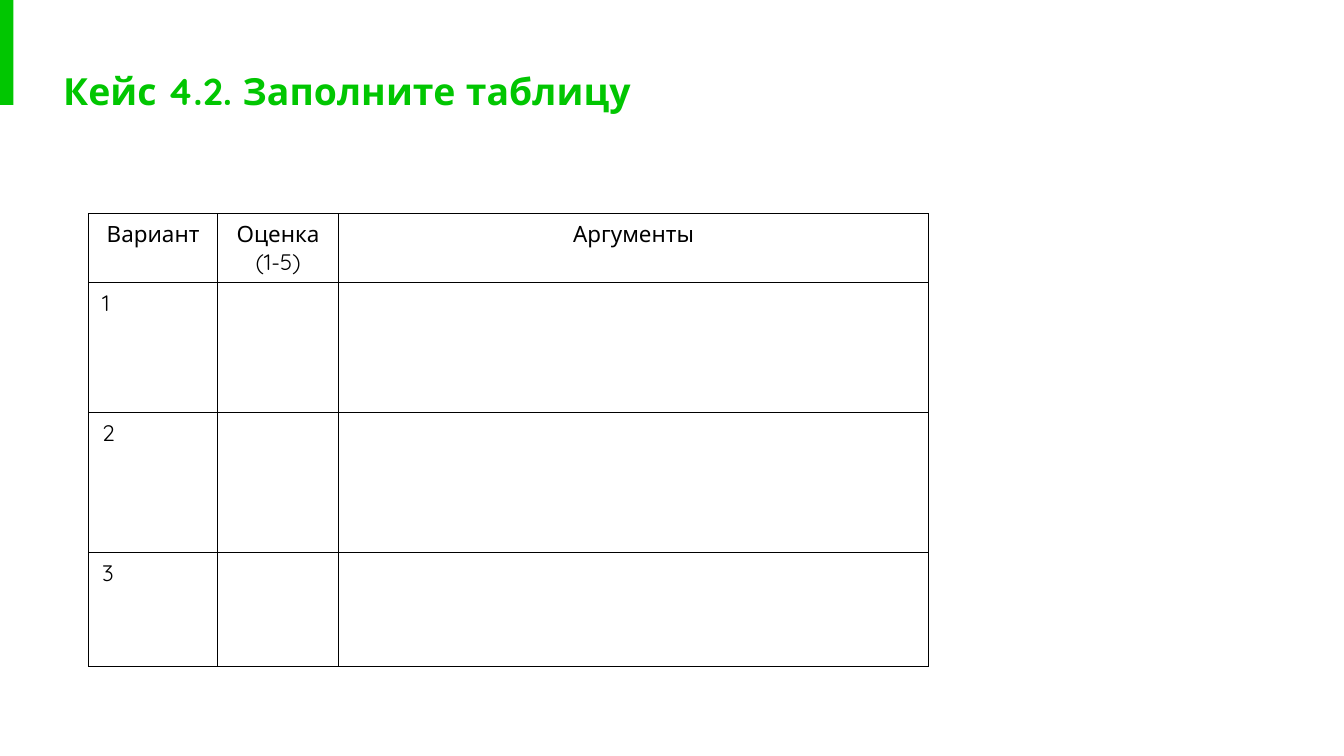
from lxml.etree import SubElement
from pptx import Presentation
from pptx.dml.color import RGBColor
from pptx.enum.shapes import MSO_SHAPE as Shape
from pptx.enum.text import PP_ALIGN as Align
from pptx.oxml.ns import qn
from pptx.util import Inches, Pt

GREEN, BLACK = "01C601", "000000"


def style(font, size, color, bold=False):
    font.name, font.size, font.bold = "Quicksand", Pt(size), bold
    font.color.rgb = RGBColor.from_string(color)


def add_borders(cell):
    properties = cell._tc.get_or_add_tcPr()
    for side in ("a:lnL", "a:lnR", "a:lnT", "a:lnB"):
        line = SubElement(properties, qn(side), w=str(Pt(0.75)))
        fill = SubElement(line, qn("a:solidFill"))
        SubElement(fill, qn("a:srgbClr"), val=BLACK)


# Widescreen 16:9 slide
presentation = Presentation()
presentation.slide_width = Inches(10)
presentation.slide_height = Inches(10) * 9 // 16
slide = presentation.slides.add_slide(presentation.slide_layouts[6])

# Green corner bar
bar = slide.shapes.add_shape(Shape.RECTANGLE, 0, 0, Inches(0.1), Inches(0.78))
bar.shadow.inherit = False
bar.fill.solid()
bar.fill.fore_color.rgb = RGBColor.from_string(GREEN)
bar.line.fill.background()

# Title
title = slide.shapes.add_textbox(Inches(0.47), Inches(0.41), Inches(8.08), Inches(0.52))
text_frame = title.text_frame
text_frame.word_wrap = True
text_frame.margin_left = 0
text_frame.margin_top = text_frame.margin_right = text_frame.margin_bottom = Inches(0.1)
text_frame.text = "Кейс 4.2. Заполните таблицу"
style(text_frame.paragraphs[0].runs[0].font, 20, GREEN, bold=True)

# Scoring table: a header and three rows to fill in
column_widths = [0.96, 0.9, 4.39]
row_heights = [0.51, 0.97, 1.04, 0.85]
rows = [["Вариант", "Оценка (1-5)", "Аргументы"]] + [[str(n), "", ""] for n in (1, 2, 3)]
table = slide.shapes.add_table(
    len(rows), len(column_widths), Inches(0.66), Inches(1.59),
    Inches(sum(column_widths)), Inches(sum(row_heights))).table
table.first_row = table.horz_banding = False
for column, width in zip(table.columns, column_widths):
    column.width = Inches(width)
for row, height in zip(table.rows, row_heights):
    row.height = Inches(height)

for row_index, texts in enumerate(rows):
    for column_index, text in enumerate(texts):
        cell = table.cell(row_index, column_index)
        add_borders(cell)
        cell.fill.background()
        if text:
            cell.text_frame.text = text
            paragraph = cell.text_frame.paragraphs[0]
            paragraph.alignment = Align.CENTER if row_index == 0 else Align.LEFT
            style(paragraph.runs[0].font, 12, BLACK)

presentation.save("out.pptx")
